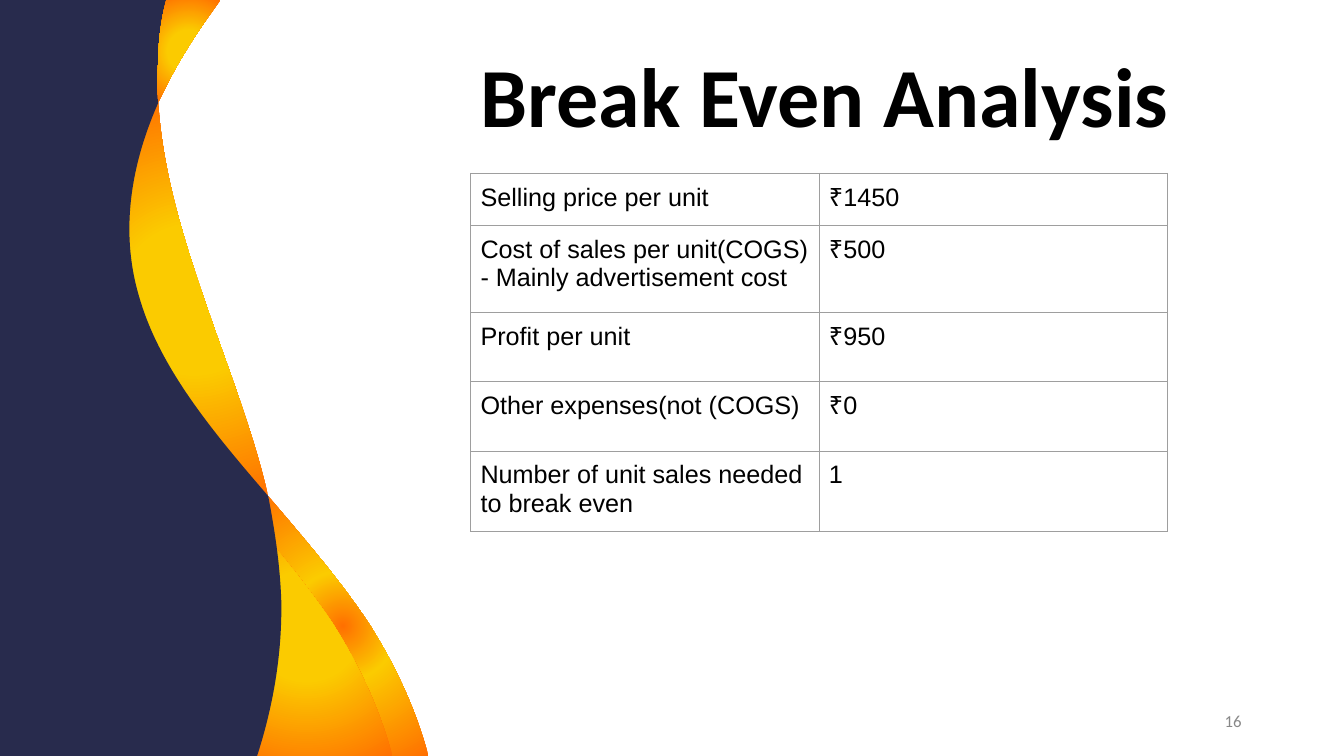
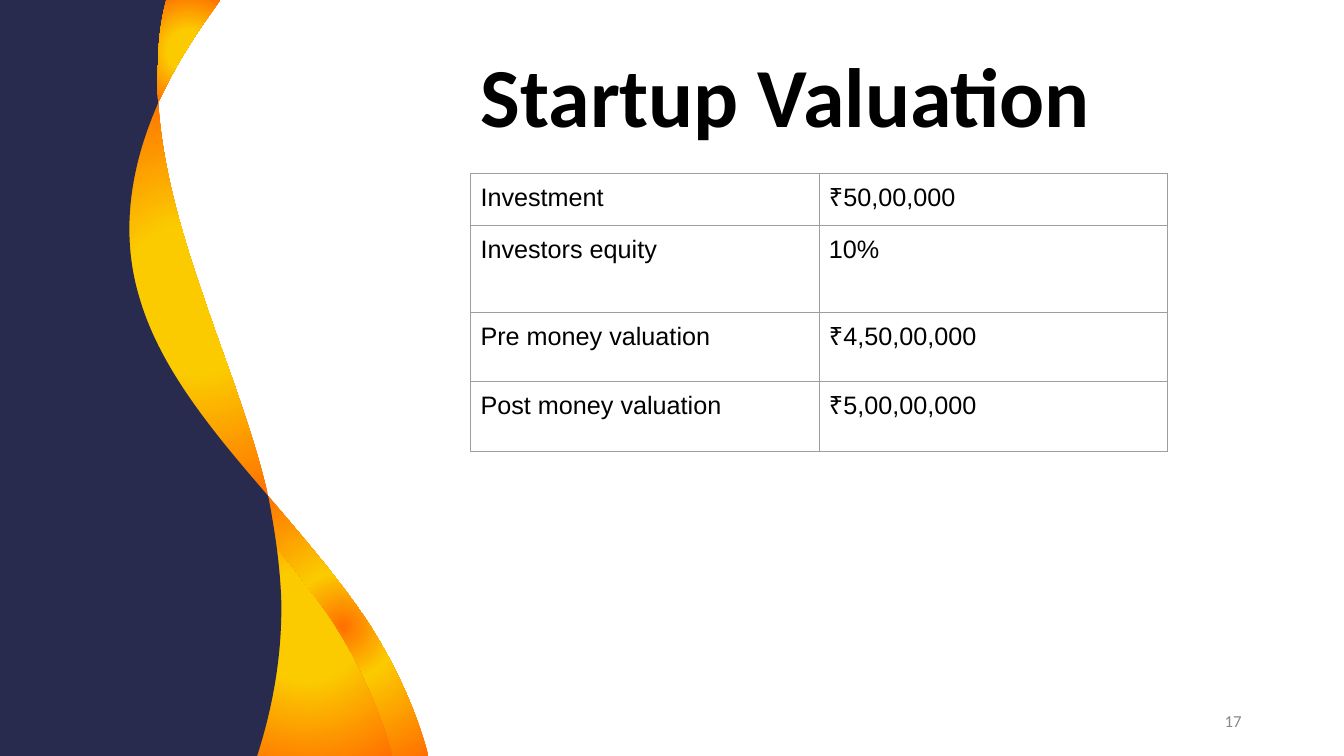
from pptx import Presentation
from pptx.dml.color import RGBColor
from pptx.enum.text import MSO_ANCHOR, PP_ALIGN
from pptx.oxml import parse_xml
from pptx.oxml.ns import nsdecls, qn
from pptx.util import Cm, Pt

# Shared look
NAVY = RGBColor(0x28, 0x2B, 0x4D)
GOLD = RGBColor(0xFB, 0xCB, 0x00)
FLAME = RGBColor(0xFF, 0x70, 0x00)
BLACK = RGBColor(0x00, 0x00, 0x00)
GREY = RGBColor(0x88, 0x88, 0x88)
RULE = RGBColor(0x9E, 0x9E, 0x9E)
HEAD, BODY = "Calibri", "Arial"
WIDE, HIGH = 33.87, 19.05
LEFT = 11.86
COL = 8.78
ROWS = [1.32, 2.18, 1.75, 1.75, 1.92]
FRAME = 8.33

# Slide content: title, page number, table rows
PAGES = [
    ("Break Even Analysis", 16, [
        ("Selling price per unit", "₹1450"),
        ("Cost of sales per unit(COGS) - Mainly advertisement cost", "₹500"),
        ("Profit per unit", "₹950"),
        ("Other expenses(not (COGS)", "₹0"),
        ("Number of unit sales needed to break even", "1"),
    ]),
    ("Startup Valuation", 17, [
        ("Investment", "₹50,00,000"),
        ("Investors equity", "10%"),
        ("Pre money valuation", "₹4,50,00,000"),
        ("Post money valuation", "₹5,00,00,000"),
    ]),
]


def glow(shape, core):
    """Fill a shape with a round gradient that starts at the core colour."""
    stops = "".join(
        f'<a:gs pos="{pos}"><a:srgbClr val="{tint}"/></a:gs>'
        for pos, tint in ((0, core), (35000, GOLD), (100000, FLAME)))
    shape.fill.background()
    props = shape.element.spPr
    props.replace(props.find(qn("a:noFill")), parse_xml(
        f'<a:gradFill {nsdecls("a")} rotWithShape="1"><a:gsLst>{stops}</a:gsLst>'
        '<a:path path="circle"><a:fillToRect l="50000" t="50000" r="50000" '
        'b="50000"/></a:path></a:gradFill>'))


def outline(slide, start, steps):
    """Draw an outline: a step of one point is a line, of three a curve."""
    pen = slide.shapes.build_freeform(*map(Cm, start), scale=1.0)
    spots = [(Cm(x), Cm(y)) for step in steps for x, y in step]
    pen.add_line_segments(spots, close=False)
    shape = pen.convert_to_shape()
    shape.line.fill.background()
    shape.shadow.inherit = False

    lines = iter(list(shape.element.iter(qn("a:lnTo"))))
    for step in steps:
        nodes = [next(lines) for _ in step]
        if len(nodes) == 3:
            bend = parse_xml(f'<a:cubicBezTo {nsdecls("a")}/>')
            nodes[0].addprevious(bend)
            for node in nodes:
                bend.append(node[0])
                node.getparent().remove(node)
    return shape


def add_band(slide):
    """Draw the side band and move it to the layout that all slides share."""
    top, knot, foot = (3.99, 2.59), (6.76, 12.5), (6.48, HIGH)
    rim = (4.19, 0)
    # Edges where the wall meets the ribbon
    upper = [((4.06, 0.51), (3.99, 1.04), (3.99, 1.55)),
             ((3.96, 1.9), (3.96, 2.24), top)]
    middle = [((3.28, 4.19), (3.02, 5.89), (3.52, 7.52)),
              ((4.04, 9.3), (5.38, 10.9), knot)]
    lower = [((6.93, 13.39), (7.06, 14.25), (7.09, 15.16)),
             ((7.11, 16.51), (6.88, 17.81), foot)]
    # Outer edges of the ribbon
    tip = [((4.39, 1.7), (4.93, 0.84), (5.56, 0)), (rim,)]
    back = [((6.43, 11.1), (5.92, 9.73), (5.44, 8.38)),
            ((4.78, 6.5), (4.11, 4.57), top)]
    tail = lower + [((10.8, HIGH),),
                    ((10.49, 17.91), (9.98, 16.79), (9.3, 15.72)),
                    ((8.56, 14.6), (7.65, 13.56), knot)]
    shift = 0.91
    inner = [tuple((x - shift, y) for x, y in step) for step in tail]
    wall = [(rim,)] + upper + middle + lower + [((0, HIGH),), ((0, 0),)]

    parts = [(knot, tail, FLAME), (top, middle + back, GOLD),
             ((knot[0] - shift, knot[1]), inner, GOLD),
             ((0, 0), wall, None), (top, tip + upper, GOLD)]
    tree = slide.slide_layout.shapes.element
    for i, (start, steps, core) in enumerate(parts):
        shape = outline(slide, start, steps)
        if core is None:
            shape.fill.solid()
            shape.fill.fore_color.rgb = NAVY
        else:
            glow(shape, core)
        shape.element.nvSpPr.cNvPr.id = 20 + i
        tree.insert(2 + i, shape.element)


def style(frame, name, size, color, bold=False, align=PP_ALIGN.LEFT):
    frame.word_wrap = True
    for para in frame.paragraphs:
        para.alignment = align
        for run in para.runs:
            run.font.name = name
            run.font.size = Pt(size)
            run.font.bold = bold
            run.font.color.rgb = color


def add_title(slide, text):
    title = slide.shapes.title
    title.left, title.top = Cm(LEFT), Cm(0.69)
    title.width, title.height = Cm(19.69), Cm(3.68)
    frame = title.text_frame
    frame.text = text
    frame.vertical_anchor = MSO_ANCHOR.MIDDLE
    frame.paragraphs[0].line_spacing = 0.9
    style(frame, HEAD, 60, BLACK, bold=True)


def add_page(slide, page):
    box = slide.shapes.add_textbox(Cm(23.92), Cm(17.65), Cm(7.62), Cm(1.02))
    frame = box.text_frame
    frame.text = str(page)
    frame.vertical_anchor = MSO_ANCHOR.MIDDLE
    style(frame, HEAD, 12, GREY, align=PP_ALIGN.RIGHT)


def add_rules(cell):
    props = cell._tc.get_or_add_tcPr()
    for i, side in enumerate(("lnL", "lnR", "lnT", "lnB")):
        props.insert(i, parse_xml(
            f'<a:{side} {nsdecls("a")} w="{Pt(0.75)}"><a:solidFill>'
            f'<a:srgbClr val="{RULE}"/></a:solidFill></a:{side}>'))


def add_grid(slide, rows):
    grid = slide.shapes.add_table(
        len(rows), 2, Cm(LEFT), Cm(4.37), Cm(FRAME), Cm(FRAME))
    table = grid.table
    table.first_row = table.horz_banding = False
    for col in table.columns:
        col.width = Cm(COL)
    for row, high, texts in zip(table.rows, ROWS, rows):
        row.height = Cm(high)
        for cell, text in zip(row.cells, texts):
            cell.text = text
            cell.margin_left = cell.margin_right = Cm(0.25)
            cell.margin_top = cell.margin_bottom = Cm(0.25)
            cell.fill.background()
            add_rules(cell)
            style(cell.text_frame, BODY, 18, BLACK)
    grid.width = grid.height = Cm(FRAME)


def main():
    deck = Presentation()
    deck.slide_width, deck.slide_height = Cm(WIDE), Cm(HIGH)
    layout = deck.slide_layouts.get_by_name("Title Only")
    for i, (title, page, rows) in enumerate(PAGES):
        slide = deck.slides.add_slide(layout)
        if i == 0:
            add_band(slide)
        add_title(slide, title)
        add_page(slide, page)
        add_grid(slide, rows)
    deck.save("out.pptx")


main()
